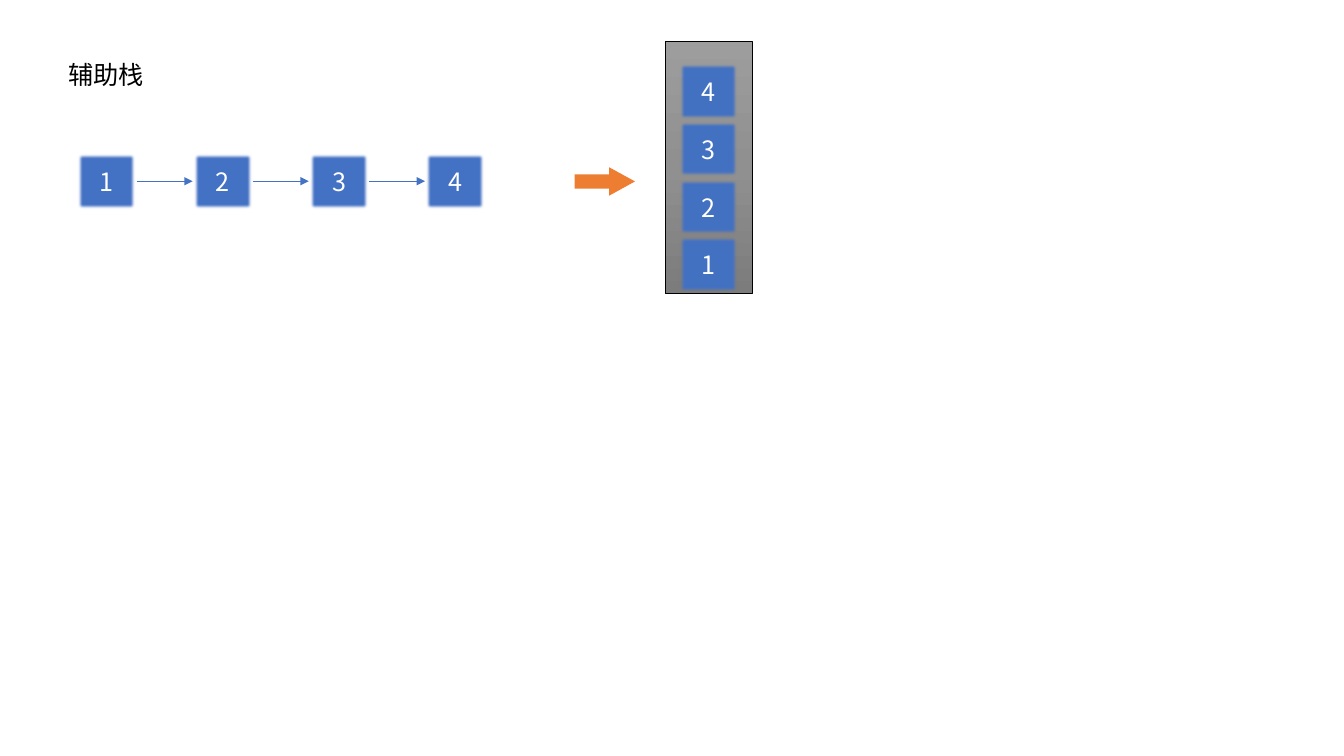
from copy import deepcopy

from lxml import etree
from pptx import Presentation
from pptx.dml.color import RGBColor
from pptx.enum.shapes import MSO_CONNECTOR, MSO_SHAPE
from pptx.enum.text import MSO_ANCHOR, MSO_AUTO_SIZE, PP_ALIGN
from pptx.oxml.ns import qn
from pptx.util import Pt

RECTANGLE = MSO_SHAPE.RECTANGLE
RIGHT_ARROW = MSO_SHAPE.RIGHT_ARROW
STRAIGHT = MSO_CONNECTOR.STRAIGHT
LEFT, CENTER = PP_ALIGN.LEFT, PP_ALIGN.CENTER
TOP, MIDDLE = MSO_ANCHOR.TOP, MSO_ANCHOR.MIDDLE
FIT_SHAPE = MSO_AUTO_SIZE.SHAPE_TO_FIT_TEXT

BLACK = RGBColor(0x00, 0x00, 0x00)
WHITE = RGBColor(0xFF, 0xFF, 0xFF)
BLUE = RGBColor(0x44, 0x72, 0xC4)
ORANGE = RGBColor(0xED, 0x7D, 0x31)
STACK_GRAYS = [RGBColor(0x9D, 0x9D, 0x9D), RGBColor(0x90, 0x90, 0x90), RGBColor(0x7C, 0x7C, 0x7C)]

FONT = "Noto Sans CJK SC"
NODE_WIDTH, NODE_HEIGHT = 43.2, 41.3
LIST_LEFT, LIST_TOP, LIST_STEP = 54.6, 108.8, 83
STACK_LEFT, STACK_BOTTOM = 484.6, 209.8
NODES = [1, 2, 3, 4]


def write_text(shape, text, color, alignment):
    paragraph = shape.text_frame.paragraphs[0]
    paragraph.alignment = alignment
    run = paragraph.add_run()
    run.text = text
    font_format = {"name": FONT, "size": Pt(18), "bold": False}
    for name, value in font_format.items():
        setattr(run.font, name, value)
    run.font.color.rgb = color
    east_asian = etree.SubElement(run._r.get_or_add_rPr(), qn("a:ea"))
    east_asian.set("typeface", FONT)


def add_node(slide, left, top, number):
    node = slide.shapes.add_shape(RECTANGLE, Pt(left), Pt(top), Pt(NODE_WIDTH), Pt(NODE_HEIGHT))
    node.fill.solid()
    node.fill.fore_color.rgb = BLUE
    node.line.fill.background()
    node.shadow.inherit = False
    effects = node._element.spPr.find(qn("a:effectLst"))
    etree.SubElement(effects, qn("a:softEdge")).set("rad", str(Pt(2.5)))
    node.text_frame.vertical_anchor = MIDDLE
    write_text(node, str(number), WHITE, CENTER)


presentation = Presentation()
presentation.slide_width = Pt(960)
presentation.slide_height = Pt(540)
slide = presentation.slides.add_slide(presentation.slide_layouts[5])

title = slide.shapes.title
title_place = {"left": Pt(41.6), "top": Pt(38.9), "width": Pt(69.2), "height": Pt(29)}
for name, value in title_place.items():
    setattr(title, name, value)
title_format = {"word_wrap": False, "auto_size": FIT_SHAPE, "vertical_anchor": TOP}
for name, value in title_format.items():
    setattr(title.text_frame, name, value)
write_text(title, "辅助栈", BLACK, LEFT)

for index, number in enumerate(NODES):
    add_node(slide, LIST_LEFT + index * LIST_STEP, LIST_TOP, number)

link_y = LIST_TOP + NODE_HEIGHT / 2
for index in range(len(NODES) - 1):
    link_start = LIST_LEFT + index * LIST_STEP + NODE_WIDTH
    link_end = LIST_LEFT + (index + 1) * LIST_STEP
    link = slide.shapes.add_connector(STRAIGHT, Pt(link_start), Pt(link_y), Pt(link_end), Pt(link_y))
    link.line.width = Pt(0.5)
    link.line.color.rgb = BLUE
    etree.SubElement(link.line._get_or_add_ln(), qn("a:tailEnd")).set("type", "triangle")
    etree.SubElement(link._element.spPr, qn("a:effectLst"))

push_arrow = slide.shapes.add_shape(RIGHT_ARROW, Pt(410.4), Pt(119.5), Pt(43.2), Pt(20.2))
push_arrow.adjustments[0] = 0.5
push_arrow.adjustments[1] = 0.91
push_arrow.fill.solid()
push_arrow.fill.fore_color.rgb = ORANGE
push_arrow.line.fill.background()
push_arrow.shadow.inherit = False

stack = slide.shapes.add_shape(RECTANGLE, Pt(475.2), Pt(29.2), Pt(62), Pt(180.7))
stack.fill.gradient()
stack.fill.gradient_angle = 270
stop_list = stack._element.spPr.find(".//" + qn("a:gsLst"))
stop_list.append(deepcopy(stop_list[-1]))
for index, (stop, gray) in enumerate(zip(stack.fill.gradient_stops, STACK_GRAYS)):
    stop.position = index / 2
    stop.color.rgb = gray
stack.line.color.rgb = BLACK
stack.line.width = Pt(0.5)
stack.shadow.inherit = False

for index, number in enumerate(NODES):
    add_node(slide, STACK_LEFT, STACK_BOTTOM - (index + 1) * NODE_HEIGHT, number)

presentation.save("out.pptx")
